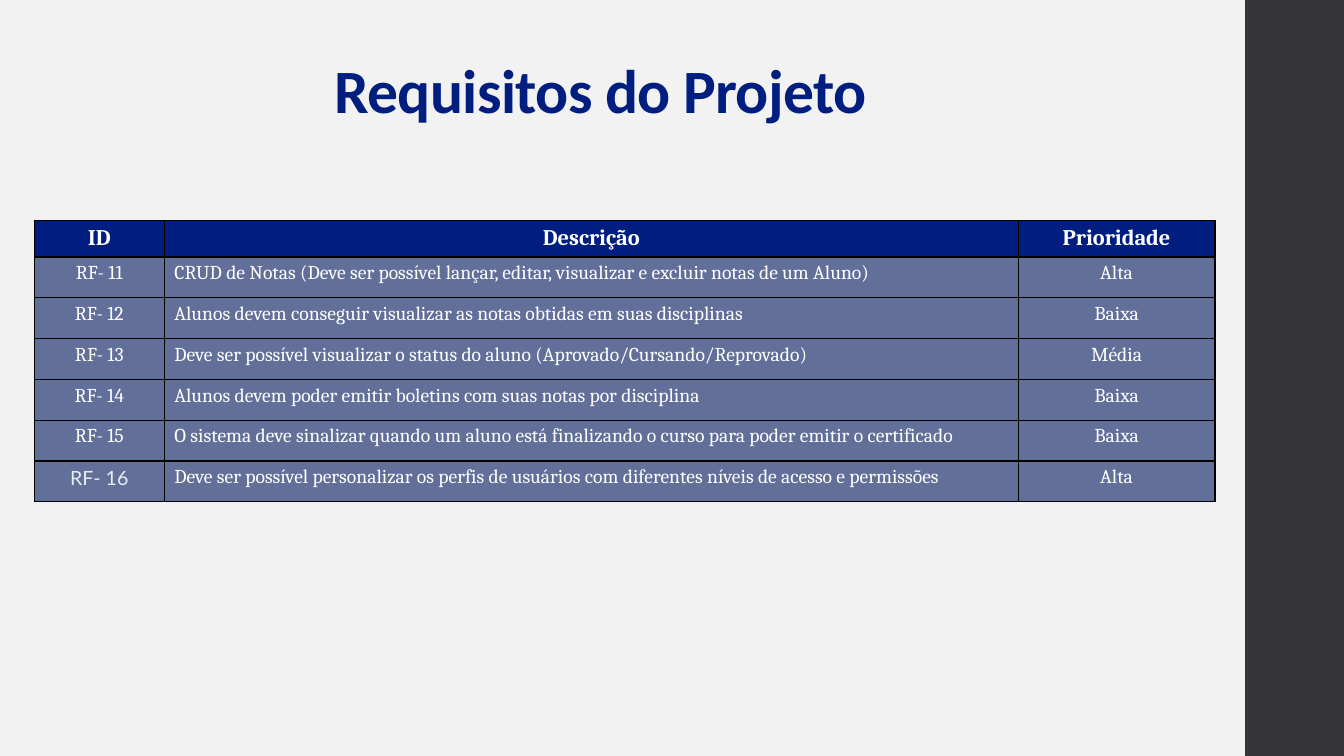
"""Build the project requirements slide with its priority table."""
from lxml import etree
from pptx import Presentation
from pptx.dml.color import RGBColor
from pptx.enum.shapes import MSO_SHAPE
from pptx.enum.text import MSO_ANCHOR, MSO_AUTO_SIZE, PP_ALIGN
from pptx.oxml.ns import qn
from pptx.util import Inches, Pt

RECT = MSO_SHAPE.RECTANGLE
BOTTOM, NO_FIT = MSO_ANCHOR.BOTTOM, MSO_AUTO_SIZE.NONE
LEFT, CENTER = PP_ALIGN.LEFT, PP_ALIGN.CENTER
TITLE_ONLY = 5

COLORS = {
    "background": "F2F2F2",
    "band": "353537",
    "navy": "001E80",
    "row": "626F99",
    "white": "FFFFFF",
    "pale": "E6EDF3",
    "border": "000000",
}
HEADER = ("ID", "Descrição", "Prioridade")
REQUIREMENTS = [
    ("RF- 11", "CRUD de Notas (Deve ser possível lançar, editar, visualizar e excluir notas de um Aluno)", "Alta"),
    ("RF- 12", "Alunos devem conseguir visualizar as notas obtidas em suas disciplinas", "Baixa"),
    ("RF- 13", "Deve ser possível visualizar o status do aluno (Aprovado/Cursando/Reprovado)", "Média"),
    ("RF- 14", "Alunos devem poder emitir boletins com suas notas por disciplina", "Baixa"),
    ("RF- 15", "O sistema deve sinalizar quando um aluno está finalizando o curso para poder emitir o certificado", "Baixa"),
    ("RF- 16", "Deve ser possível personalizar os perfis de usuários com diferentes níveis de acesso e permissões", "Alta"),
]
COL_WIDTHS = (1.29, 8.47, 1.95)
HEADER_HEIGHT, ROW_HEIGHT = 0.36, 0.405


def style_font(p, name, size, color, bold):
    p.font.name = name
    p.font.size = Pt(size)
    p.font.bold = bold
    p.font.color.rgb = RGBColor.from_string(COLORS[color])


def add_borders(cell):
    tcPr = cell._tc.get_or_add_tcPr()
    for i, side in enumerate(("a:lnL", "a:lnR", "a:lnT", "a:lnB")):
        ln = etree.Element(qn(side), w=str(Pt(1)))
        fill = etree.SubElement(ln, qn("a:solidFill"))
        etree.SubElement(fill, qn("a:srgbClr"), val=COLORS["border"])
        tcPr.insert(i, ln)


prs = Presentation()
prs.slide_width, prs.slide_height = Inches(13.33), Inches(7.5)
s = prs.slides.add_slide(prs.slide_layouts[TITLE_ONLY])
s.background.fill.solid()
s.background.fill.fore_color.rgb = RGBColor.from_string(COLORS["background"])

band = s.shapes.add_shape(RECT, Inches(12.35), 0, Inches(0.98), Inches(7.5))
band.shadow.inherit = False
band.fill.solid()
band.fill.fore_color.rgb = RGBColor.from_string(COLORS["band"])
band.line.fill.background()

title = s.shapes.title
title.left, title.top = Inches(0.81), Inches(0.27)
title.width, title.height = Inches(10.29), Inches(1.04)
tf = title.text_frame
tf.text = "Requisitos do Projeto"
tf.auto_size = NO_FIT
tf.vertical_anchor = BOTTOM
p = tf.paragraphs[0]
p.alignment = CENTER
p.line_spacing = 0.9
style_font(p, "Calibri", 44, "navy", True)
p.runs[0]._r.get_or_add_rPr().set("spc", "-50")

rows = [HEADER] + REQUIREMENTS
table_height = HEADER_HEIGHT + ROW_HEIGHT * len(REQUIREMENTS)
table = s.shapes.add_table(len(rows), len(HEADER), Inches(0.34), Inches(2.19),
                           Inches(sum(COL_WIDTHS)), Inches(table_height)).table
for col, width in zip(table.columns, COL_WIDTHS):
    col.width = Inches(width)

for i, row in enumerate(rows):
    is_header = i == 0
    table.rows[i].height = Inches(HEADER_HEIGHT if is_header else ROW_HEIGHT)
    for j, text in enumerate(row):
        cell = table.cell(i, j)
        cell.text = text
        cell.fill.solid()
        cell.fill.fore_color.rgb = RGBColor.from_string(COLORS["navy" if is_header else "row"])
        add_borders(cell)
        p = cell.text_frame.paragraphs[0]
        p.alignment = LEFT if j == 1 and not is_header else CENTER
        name, color = ("Lato", "pale") if text == "RF- 16" else ("Cambria", "white")
        style_font(p, name, 16 if is_header else 14, color, is_header)

prs.save("out.pptx")
